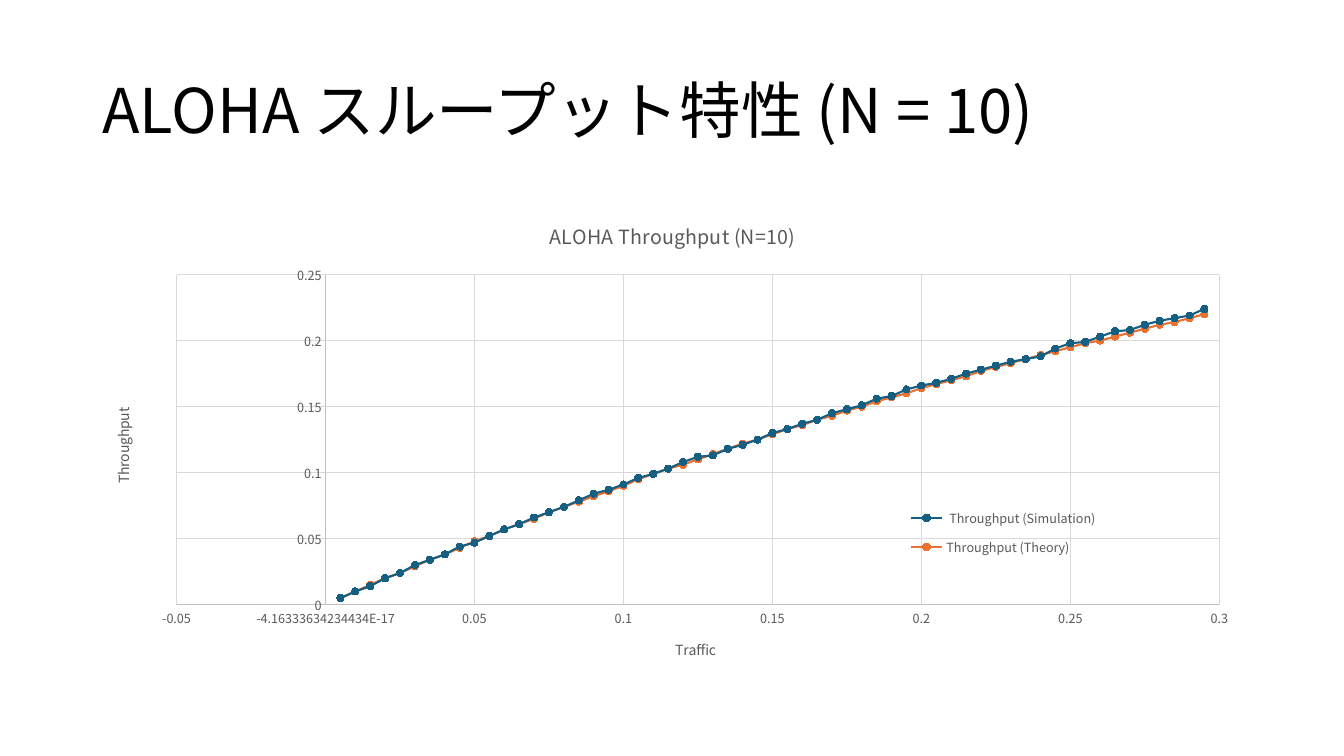
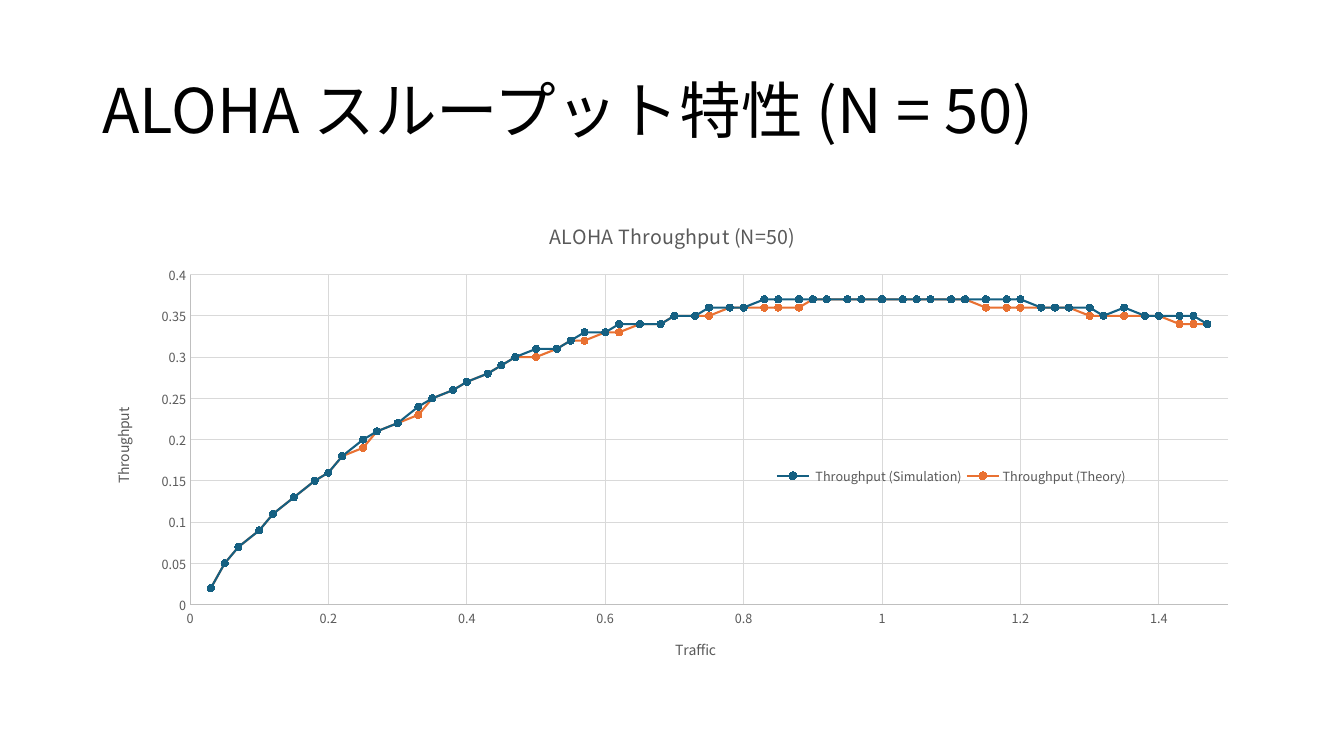
from math import exp
from lxml.etree import SubElement
from pptx import Presentation
from pptx.chart.data import XyChartData
from pptx.dml.color import RGBColor
from pptx.enum.chart import (XL_CHART_TYPE, XL_LEGEND_POSITION,
                             XL_MARKER_STYLE, XL_TICK_MARK)
from pptx.enum.text import MSO_ANCHOR, PP_ALIGN
from pptx.oxml import parse_xml
from pptx.oxml.ns import nsdecls, qn
from pptx.util import Cm, Pt

WIDE, HIGH = 29.21, 12.09
SIM_10 = [
    0.005, 0.01, 0.014, 0.02, 0.024, 0.03, 0.034, 0.038, 0.044, 0.047,
    0.052, 0.057, 0.061, 0.066, 0.07, 0.074, 0.079, 0.084, 0.087, 0.091,
    0.096, 0.099, 0.103, 0.108, 0.112, 0.113, 0.118, 0.121, 0.125, 0.13,
    0.133, 0.137, 0.14, 0.145, 0.148, 0.151, 0.156, 0.158, 0.163, 0.166,
    0.168, 0.171, 0.175, 0.178, 0.181, 0.184, 0.186, 0.188, 0.194, 0.198,
    0.199, 0.203, 0.207, 0.208, 0.212, 0.215, 0.217, 0.219, 0.224]
SIM_50 = [
    0.02, 0.05, 0.07, 0.09, 0.11, 0.13, 0.15, 0.16, 0.18, 0.2,
    0.21, 0.22, 0.24, 0.25, 0.26, 0.27, 0.28, 0.29, 0.3, 0.31,
    0.31, 0.32, 0.33, 0.33, 0.34, 0.34, 0.34, 0.35, 0.35, 0.36,
    0.36, 0.36] + [0.37] * 16 + [
    0.36, 0.36, 0.36, 0.36, 0.35, 0.36, 0.35, 0.35, 0.35, 0.35, 0.34]
LOAD_10 = [round(step * 0.005, 3) for step in range(1, 60)]
LOAD_50 = [
    0.03, 0.05, 0.07, 0.1, 0.12, 0.15, 0.18, 0.2, 0.22, 0.25,
    0.27, 0.3, 0.33, 0.35, 0.38, 0.4, 0.43, 0.45, 0.47, 0.5,
    0.53, 0.55, 0.57, 0.6, 0.62, 0.65, 0.68, 0.7, 0.73, 0.75,
    0.78, 0.8, 0.83, 0.85, 0.88, 0.9, 0.92, 0.95, 0.97, 1,
    1.03, 1.05, 1.07, 1.1, 1.12, 1.15, 1.18, 1.2, 1.23, 1.25,
    1.27, 1.3, 1.32, 1.35, 1.38, 1.4, 1.43, 1.45, 1.47]


def color(code):
    return RGBColor.from_string(code)


def theory(count, digits):
    loads = [step * count / 2000 for step in range(1, 60)]
    return [round(load * exp(-load), digits) for load in loads]


def place(node, left, top, width=None, height=None):
    for old in node.findall(qn("c:layout")):
        node.remove(old)
    layout = parse_xml(f"<c:layout {nsdecls('c')}/>")
    heads = [kid for kid in node if kid.tag in (qn("c:tx"), qn("c:legendPos"))]
    node.insert(len(heads), layout)
    manual = SubElement(layout, qn("c:manualLayout"))
    parts = [("xMode", "edge"), ("yMode", "edge"),
             ("x", left / WIDE), ("y", top / HIGH)]
    if width:
        parts += [("w", width / WIDE), ("h", height / HIGH)]
    if node.tag == qn("c:plotArea"):
        parts.insert(0, ("layoutTarget", "inner"))
    for name, value in parts:
        SubElement(manual, qn(f"c:{name}")).set("val", str(value))


class Deck:
    face = "Noto Sans CJK JP"
    ink, gray, edge, grid = "000000", "595959", "BFBFBF", "D9D9D9"
    hues = "156082", "E97132"

    def __init__(self):
        self.show = Presentation()
        self.show.slide_width, self.show.slide_height = Cm(33.87), Cm(19.05)
        self.slide = None

    def font(self, font, size, code):
        font.name, font.size, font.bold = self.face, Pt(size), False
        font.color.rgb = color(code)

    def line(self, line, code, width):
        line.color.rgb, line.width = color(code), Pt(width)

    def head(self, text):
        self.slide = self.show.slides.add_slide(self.show.slide_layouts[5])
        title = self.slide.shapes.title
        title.left, title.top = Cm(2.33), Cm(1.01)
        title.width, title.height = Cm(WIDE), Cm(3.68)
        frame = title.text_frame
        frame.text = text
        frame.word_wrap = True
        frame.vertical_anchor = MSO_ANCHOR.MIDDLE
        para = frame.paragraphs[0]
        para.alignment, para.line_spacing = PP_ALIGN.LEFT, 0.9
        for run in para.runs:
            self.font(run.font, 44, self.ink)
            SubElement(run.font._element, qn("a:ea")).set("typeface", self.face)

    def label(self, frame, text, size):
        frame.text = text
        self.font(frame.paragraphs[0].runs[0].font, size, self.gray)

    def axis(self, axis, text):
        axis.has_major_gridlines = True
        self.line(axis.major_gridlines.format.line, self.grid, 0.75)
        self.line(axis.format.line, self.edge, 0.75)
        axis.major_tick_mark = axis.minor_tick_mark = XL_TICK_MARK.NONE
        self.font(axis.tick_labels.font, 9, self.gray)
        axis.has_title = True
        self.label(axis.axis_title.text_frame, text, 10)

    def plot(self, text, rows, low, high, area, key):
        data = XyChartData()
        for name, points in rows:
            series = data.add_series(name)
            for x, y in points:
                series.add_data_point(x, y)
        chart = self.slide.shapes.add_chart(
            XL_CHART_TYPE.XY_SCATTER_LINES, Cm(2.33), Cm(5.07),
            Cm(WIDE), Cm(HIGH), data).chart
        self.font(chart.font, 10, self.ink)
        chart.has_title = True
        self.label(chart.chart_title.text_frame, text, 14)
        chart.plots[0].vary_by_categories = False
        self.axis(chart.category_axis, "Traffic")
        self.axis(chart.value_axis, "Throughput")
        chart.category_axis.maximum_scale = high
        if low is not None:
            chart.category_axis.minimum_scale = low
        for series, hue in zip(chart.plots[0].series, self.hues):
            series.smooth = False
            self.line(series.format.line, hue, 1.5)
            mark = series.marker
            mark.style, mark.size = XL_MARKER_STYLE.CIRCLE, 5
            mark.format.fill.solid()
            mark.format.fill.fore_color.rgb = color(hue)
            self.line(mark.format.line, hue, 0.75)
        chart.has_legend = True
        chart.legend.position = XL_LEGEND_POSITION.RIGHT
        chart.legend.include_in_layout = True
        self.font(chart.legend.font, 9, self.gray)
        self.adjust(chart.element, area, key)

    def adjust(self, root, area, key):
        across, up = root.xpath("c:chart/c:plotArea/c:valAx/c:title")
        body = up.xpath("c:tx/c:rich/a:bodyPr")[0]
        body.set("rot", "-5400000")
        body.set("vert", "horz")
        place(root.xpath("c:chart/c:title")[0], 11.43, 0.37)
        place(across, 14.62, 10.95)
        place(up, 0.44, 5.14)
        place(root.xpath("c:chart/c:plotArea")[0], *area)
        place(root.xpath("c:chart/c:legend")[0], *key)


def main():
    deck = Deck()
    cases = [
        (10, 3, LOAD_10, SIM_10, None, 0.3, (2.12, 1.85, 26.28, 8.32),
         (20.53, 7.47, 4.84, 1.76)),
        (50, 2, LOAD_50, SIM_50, 0, 1.5, (2.46, 1.85, 26.16, 8.32),
         (17.12, 6.57, 9.05, 0.7))]
    for count, digits, loads, sim, low, high, area, key in cases:
        rows = [(" Throughput (Simulation)", zip(loads, sim)),
                ("Throughput (Theory)", zip(loads, theory(count, digits)))]
        deck.head(f"ALOHA スループット特性 (N = {count})")
        deck.plot(f"ALOHA Throughput (N={count})", rows, low, high, area, key)
    deck.show.save("out.pptx")


if __name__ == "__main__":
    main()
